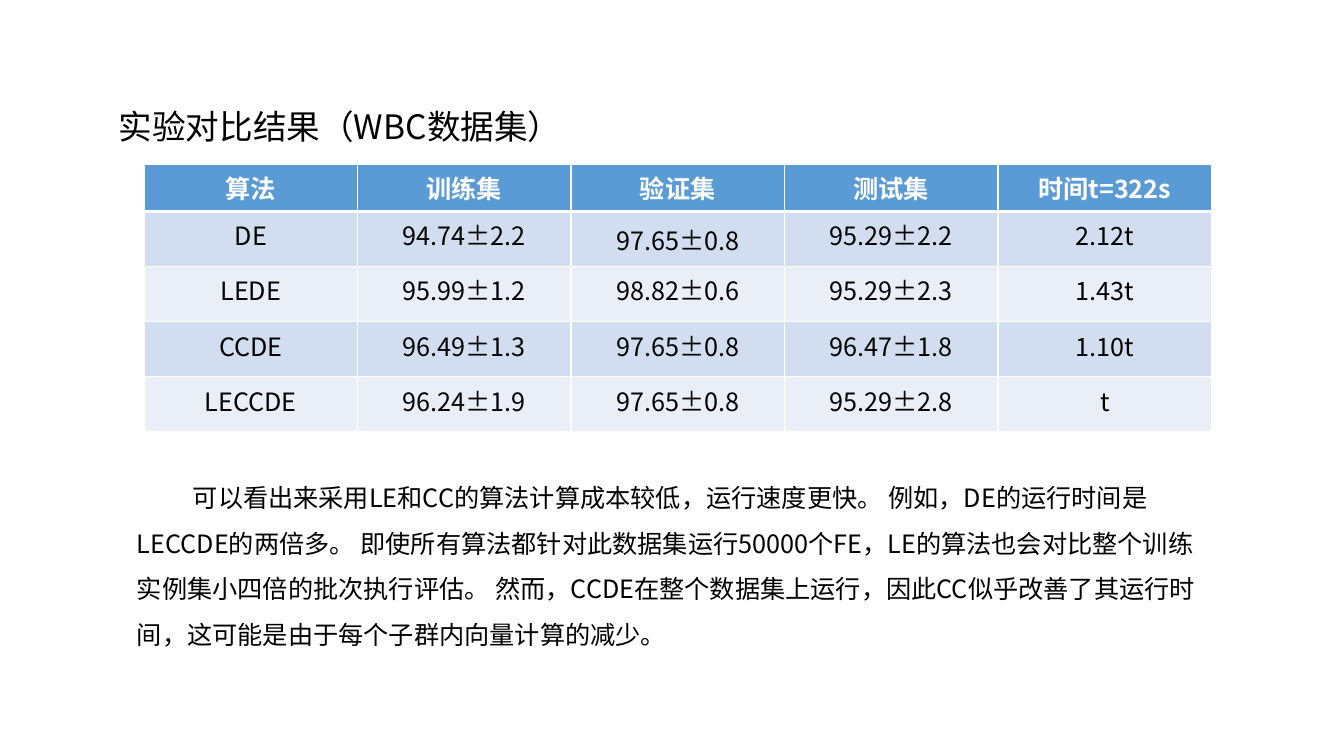
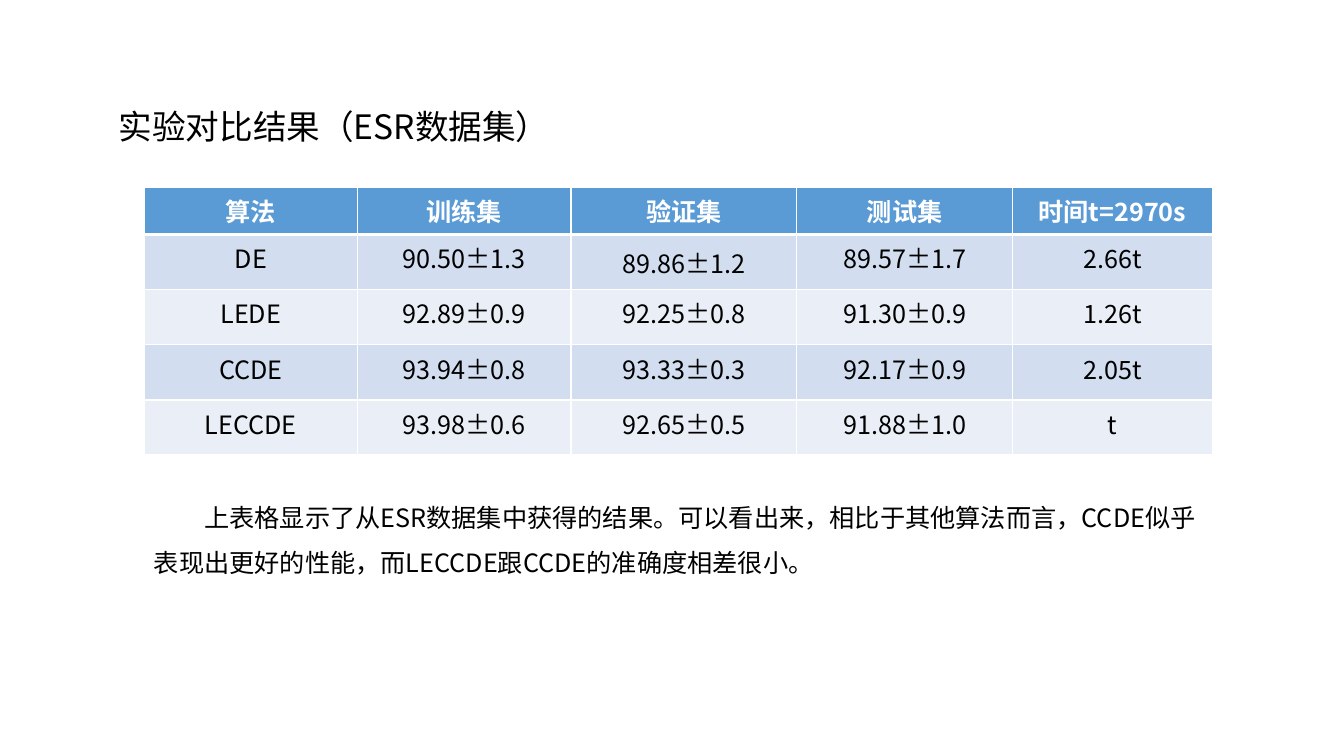
from pptx import Presentation
from pptx.dml.color import RGBColor
from pptx.enum.text import MSO_ANCHOR as Anchor, MSO_AUTO_SIZE as AutoSize, PP_ALIGN as Align
from pptx.oxml.ns import qn
from pptx.util import Cm, Pt
from lxml.etree import SubElement

BLACK = RGBColor(0x00, 0x00, 0x00)
WHITE = RGBColor(0xFF, 0xFF, 0xFF)
HEADER_BLUE = RGBColor(0x5B, 0x9B, 0xD5)
BAND_DARK = RGBColor(0xD2, 0xDE, 0xEF)
BAND_LIGHT = RGBColor(0xEA, 0xEF, 0xF7)

FONT = "Noto Sans CJK SC"
TITLE_TEXT = {"size": Pt(24), "bold": False, "color": BLACK}
BODY_TEXT = {"size": Pt(18), "bold": False, "color": BLACK}
HEADER_TEXT = {"size": Pt(18), "bold": True, "color": WHITE}

TITLE_BOX = (2.74, 2.54, 13.51, 1.27)
TABLE_LEFT = 3.63
HEADER_HEIGHT = 1.19
ROW_HEIGHT = 1.39
EVEN_COLUMNS = [5.38] * 5
THIN, THICK = 1, 3

RESULTS = [
    {
        "title": "实验对比结果（WBC数据集）",
        "table_top": 4.14,
        "columns": EVEN_COLUMNS,
        "rows": [
            ["算法", "训练集", "验证集", "测试集", "时间t=322s"],
            ["DE", "94.74±2.2", "97.65±0.8", "95.29±2.2", "2.12t"],
            ["LEDE", "95.99±1.2", "98.82±0.6", "95.29±2.3", "1.43t"],
            ["CCDE", "96.49±1.3", "97.65±0.8", "96.47±1.8", "1.10t"],
            ["LECCDE", "96.24±1.9", "97.65±0.8", "95.29±2.8", "t"],
        ],
        "comment_box": (3.2, 11.66, 27.36, 4.88),
        "indent": 1.41,
        "comment": "可以看出来采用LE和CC的算法计算成本较低，运行速度更快。 "
                   "例如，DE的运行时间是LECCDE的两倍多。 "
                   "即使所有算法都针对此数据集运行50000个FE，"
                   "LE的算法也会对比整个训练实例集小四倍的批次执行评估。 "
                   "然而，CCDE在整个数据集上运行，因此CC似乎改善了其运行时间，"
                   "这可能是由于每个子群内向量计算的减少。",
    },
    {
        "title": "实验对比结果（ESR数据集）",
        "table_top": 4.72,
        "columns": [5.38, 5.38, 5.69, 5.44, 5.03],
        "rows": [
            ["算法", "训练集", "验证集", "测试集", "时间t=2970s"],
            ["DE", "90.50±1.3", "89.86±1.2", "89.57±1.7", "2.66t"],
            ["LEDE", "92.89±0.9", "92.25±0.8", "91.30±0.9", "1.26t"],
            ["CCDE", "93.94±0.8", "93.33±0.3", "92.17±0.9", "2.05t"],
            ["LECCDE", "93.98±0.6", "92.65±0.5", "91.88±1.0", "t"],
        ],
        "comment_box": (3.63, 12.14, 26.9, 2.44),
        "indent": 1.27,
        "comment": "上表格显示了从ESR数据集中获得的结果。可以看出来，"
                   "相比于其他算法而言，CCDE似乎表现出更好的性能，"
                   "而LECCDE跟CCDE的准确度相差很小。",
    },
]


def set_attributes(target, values):
    for name, value in values.items():
        setattr(target, name, value)


def write_text(frame, text, style, align):
    para = frame.paragraphs[0]
    para.alignment = align
    span = para.add_run()
    span.text = text
    set_attributes(span.font, {"name": FONT, "size": style["size"], "bold": style["bold"]})
    span.font.color.rgb = style["color"]
    SubElement(span.font._element, qn("a:ea"), typeface=FONT)
    return para


def add_title(page, text, box):
    title = page.shapes.title
    set_attributes(title, dict(zip(("left", "top", "width", "height"), map(Cm, box))))
    frame = title.text_frame
    set_attributes(frame, {
        "word_wrap": True,
        "auto_size": AutoSize.SHAPE_TO_FIT_TEXT,
        "vertical_anchor": Anchor.TOP,
    })
    write_text(frame, text, TITLE_TEXT, Align.LEFT)


def add_borders(cell, widths):
    properties = cell._tc.get_or_add_tcPr()
    for side, width in widths.items():
        line = SubElement(properties, qn(f"a:ln{side}"), w=str(Pt(width)))
        fill = SubElement(line, qn("a:solidFill"))
        SubElement(fill, qn("a:srgbClr"), val=str(WHITE))


def add_results_table(page, rows, columns, left, top):
    height = HEADER_HEIGHT + ROW_HEIGHT * (len(rows) - 1)
    frame = page.shapes.add_table(
        len(rows), len(columns), Cm(left), Cm(top), Cm(sum(columns)), Cm(height))
    table = frame.table
    for column, width in zip(table.columns, columns):
        column.width = Cm(width)
    for r, values in enumerate(rows):
        is_header = r == 0
        table.rows[r].height = Cm(HEADER_HEIGHT if is_header else ROW_HEIGHT)
        band = HEADER_BLUE if is_header else (BAND_LIGHT, BAND_DARK)[r % 2]
        borders = {"L": THIN, "R": THIN,
                   "T": THICK if r == 1 else THIN,
                   "B": THICK if is_header else THIN}
        for c, value in enumerate(values):
            cell = table.cell(r, c)
            add_borders(cell, borders)
            cell.fill.solid()
            cell.fill.fore_color.rgb = band
            cell.vertical_anchor = Anchor.MIDDLE if (r, c) == (1, 2) else Anchor.TOP
            write_text(cell.text_frame, value,
                       HEADER_TEXT if is_header else BODY_TEXT, Align.CENTER)


def add_comment(page, text, box, indent):
    frame = page.shapes.add_textbox(*map(Cm, box)).text_frame
    set_attributes(frame, {"word_wrap": True, "auto_size": AutoSize.SHAPE_TO_FIT_TEXT})
    para = write_text(frame, text, BODY_TEXT, Align.LEFT)
    para.line_spacing = 1.5
    para._p.get_or_add_pPr().set("indent", str(Cm(indent)))


def add_results_page(deck, result):
    page = deck.slides.add_slide(deck.slide_layouts[5])
    add_title(page, result["title"], TITLE_BOX)
    add_results_table(page, result["rows"], result["columns"], TABLE_LEFT, result["table_top"])
    add_comment(page, result["comment"], result["comment_box"], result["indent"])


def main():
    deck = Presentation()
    set_attributes(deck, {"slide_width": Cm(33.87), "slide_height": Cm(19.05)})
    for result in RESULTS:
        add_results_page(deck, result)
    deck.save("out.pptx")


if __name__ == "__main__":
    main()
